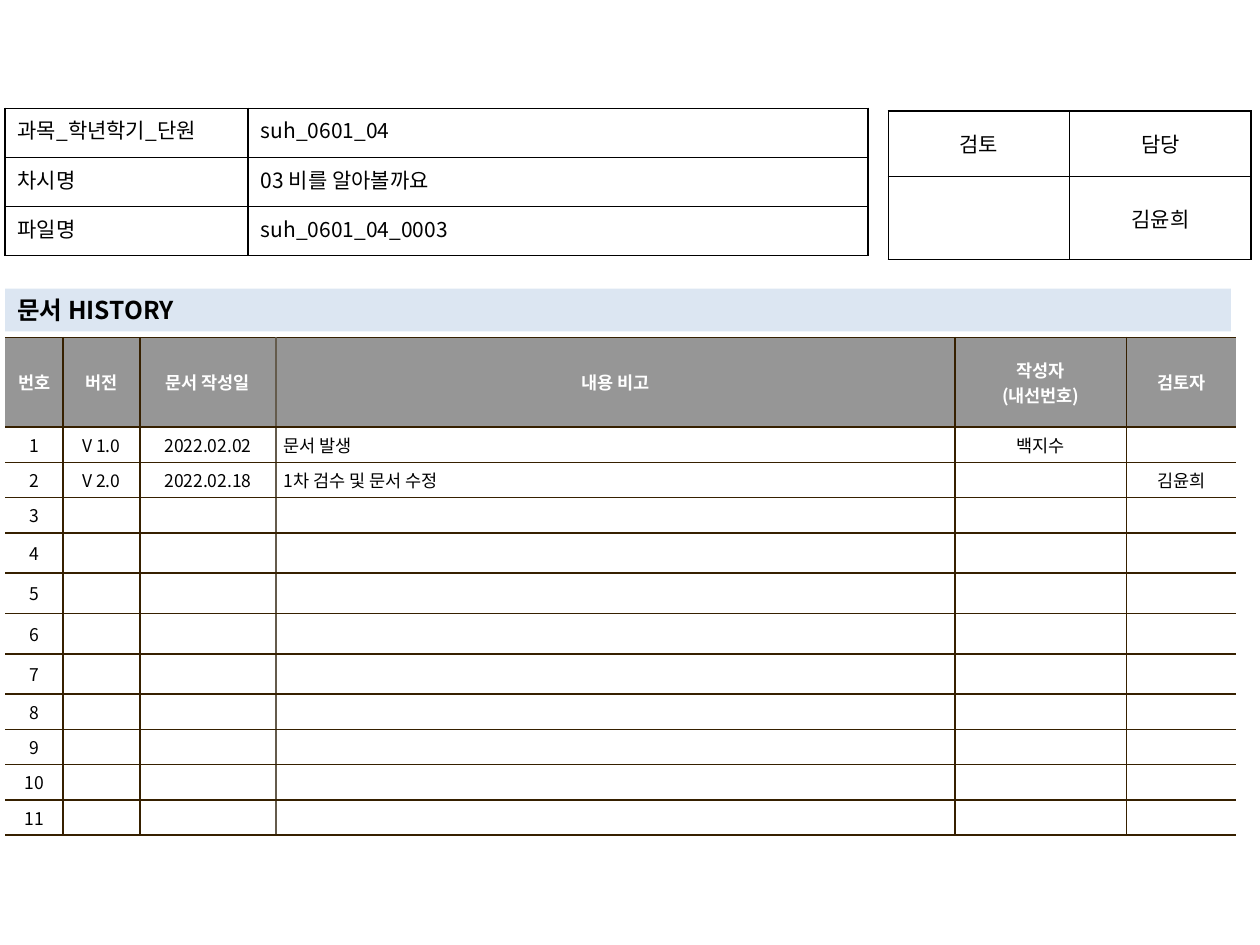
from lxml import etree
from pptx import Presentation, util as u
from pptx.dml.color import RGBColor
from pptx.enum import shapes, text
from pptx.oxml.ns import qn

FONT = "Noto Sans CJK KR"
BLACK, WHITE, BROWN, TAUPE = "000000", "FFFFFF", "362000", "645B4C"
GRAY, BLUE = "969696", "DCE6F2"
LEFT, MID, JUST = text.PP_ALIGN.LEFT, text.PP_ALIGN.CENTER, text.PP_ALIGN.JUSTIFY

# Content
info = [
    ("과목_학년학기_단원", "suh_0601_04"),
    ("차시명", "03 비를 알아볼까요"),
    ("파일명", "suh_0601_04_0003"),
]
sign = [("검토", "담당"), ("", "김윤희")]
title = "문서 HISTORY"
heads = ("번호", "버전", "문서 작성일", "내용 비고", "작성자\n(내선번호)", "검토자")
log = [
    ("V 1.0", "2022.02.02", "문서 발생", "백지수", ""),
    ("V 2.0", "2022.02.18", "1차 검수 및 문서 수정", "", "김윤희"),
]
COUNT = 11
log += [("",) * 5] * (COUNT - len(log))
history = [heads] + [(str(n), *row) for n, row in enumerate(log, 1)]


def rgb(code):
    return RGBColor.from_string(code)


def style(para, size, color, bold=False):
    for run in para.runs:
        font = run.font
        font.name, font.size, font.bold = FONT, u.Pt(size), bold
        font.color.rgb = rgb(color)
        etree.SubElement(run._r.get_or_add_rPr(), qn("a:ea"), typeface=FONT)
    if not para.runs:
        para._p.get_or_add_endParaRPr().set("sz", str(size * 100))


def border(cell, side, color):
    line = etree.SubElement(cell._tc.get_or_add_tcPr(), qn("a:ln" + side), w="12700")
    if color is None:
        etree.SubElement(line, qn("a:noFill"))
    else:
        fill = etree.SubElement(line, qn("a:solidFill"))
        etree.SubElement(fill, qn("a:srgbClr"), val=color)


def grid(slide, rows, left, top, wide, high, size, aligns, rule, edges, pad, anchor):
    """Draw a table; edges holds the colour of each vertical line, left to right."""
    frame = slide.shapes.add_table(
        len(rows), len(wide), u.Inches(left), u.Inches(top),
        u.Inches(sum(wide)), u.Inches(sum(high)))
    table = frame.table
    table.first_row = table.horz_banding = False
    for col, width in zip(table.columns, wide):
        col.width = u.Inches(width)
    for row, height in zip(table.rows, high):
        row.height = u.Inches(height)
    for r, row in enumerate(rows):
        for c, words in enumerate(row):
            cell = table.cell(r, c)
            cell.margin_left = cell.margin_right = u.Inches(pad[0])
            cell.margin_top = cell.margin_bottom = u.Inches(pad[1])
            cell.vertical_anchor = anchor
            for side, color in zip("LRTB", (edges[c], edges[c + 1], rule, rule)):
                border(cell, side, color)
            cell.fill.background()
            cell.text_frame.text = words
            for para in cell.text_frame.paragraphs:
                para.alignment = aligns[c]
                style(para, size, BLACK)
    return table


def main():
    deck = Presentation()
    deck.slide_width, deck.slide_height = u.Inches(10), u.Inches(7.5)
    slide = deck.slides.add_slide(deck.slide_layouts[6])
    middle = text.MSO_ANCHOR.MIDDLE

    # Revision history
    high = [0.71] + [0.28] * 3 + [0.32] * 4 + [0.28] * 4
    edges = (None, BROWN, BROWN, TAUPE, BROWN, BROWN, None)
    table = grid(slide, history, 0.04, 2.68, (0.46, 0.61, 1.08, 5.39, 1.36, 0.87),
                 high, 10, (MID, MID, MID, LEFT, MID, MID), BROWN, edges,
                 (0.06, 0.04), middle)
    for r, row in enumerate(table.rows):
        for cell in row.cells:
            cell.fill.solid()
            cell.fill.fore_color.rgb = rgb(WHITE if r else GRAY)
    for cell in table.rows[0].cells:
        for para in cell.text_frame.paragraphs:
            para.alignment = MID
            for run in para.runs:
                run.font.bold = True
                run.font.color.rgb = rgb(WHITE)

    # Sign-off
    grid(slide, sign, 7.05, 0.88, (1.44, 1.44), (0.52, 0.66), 12, (MID, MID),
         BLACK, (BLACK,) * 3, (0.1, 0.05), middle)

    # Title band
    band = slide.shapes.add_shape(
        shapes.MSO_SHAPE.RECTANGLE, u.Inches(0.04), u.Inches(2.29),
        u.Inches(9.73), u.Inches(0.34))
    band.shadow.inherit = False
    band.fill.solid()
    band.fill.fore_color.rgb = rgb(BLUE)
    band.line.fill.background()
    frame = band.text_frame
    frame.text = title
    frame.word_wrap = True
    frame.vertical_anchor = middle
    frame.paragraphs[0].alignment = LEFT
    style(frame.paragraphs[0], 14, BLACK, True)

    # Document details
    grid(slide, info, 0.04, 0.86, (1.93, 4.92), [0.39] * 3, 12, (JUST, LEFT),
         BLACK, (BLACK,) * 3, (0.1, 0.05), text.MSO_ANCHOR.TOP)

    deck.save("out.pptx")


if __name__ == "__main__":
    main()
